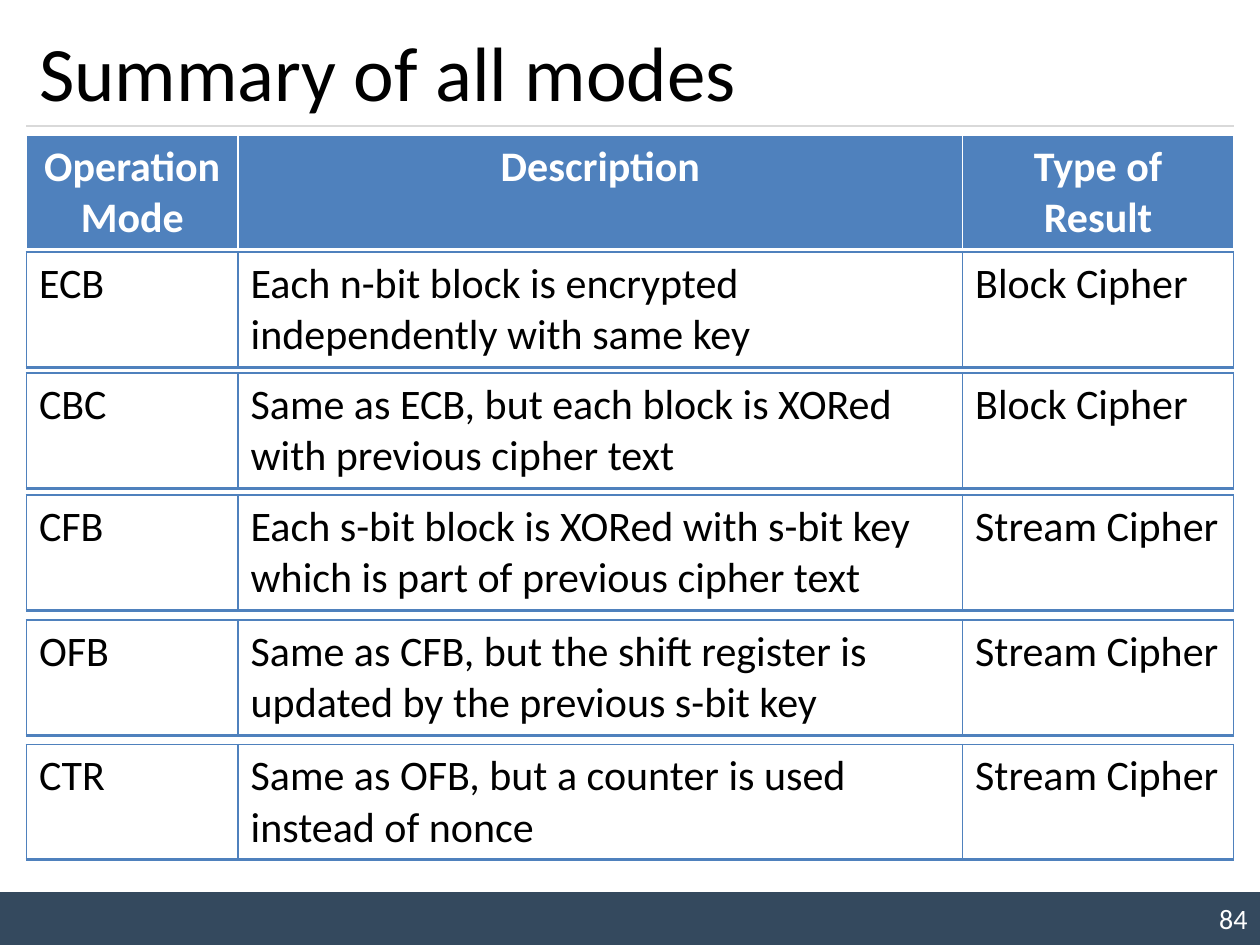
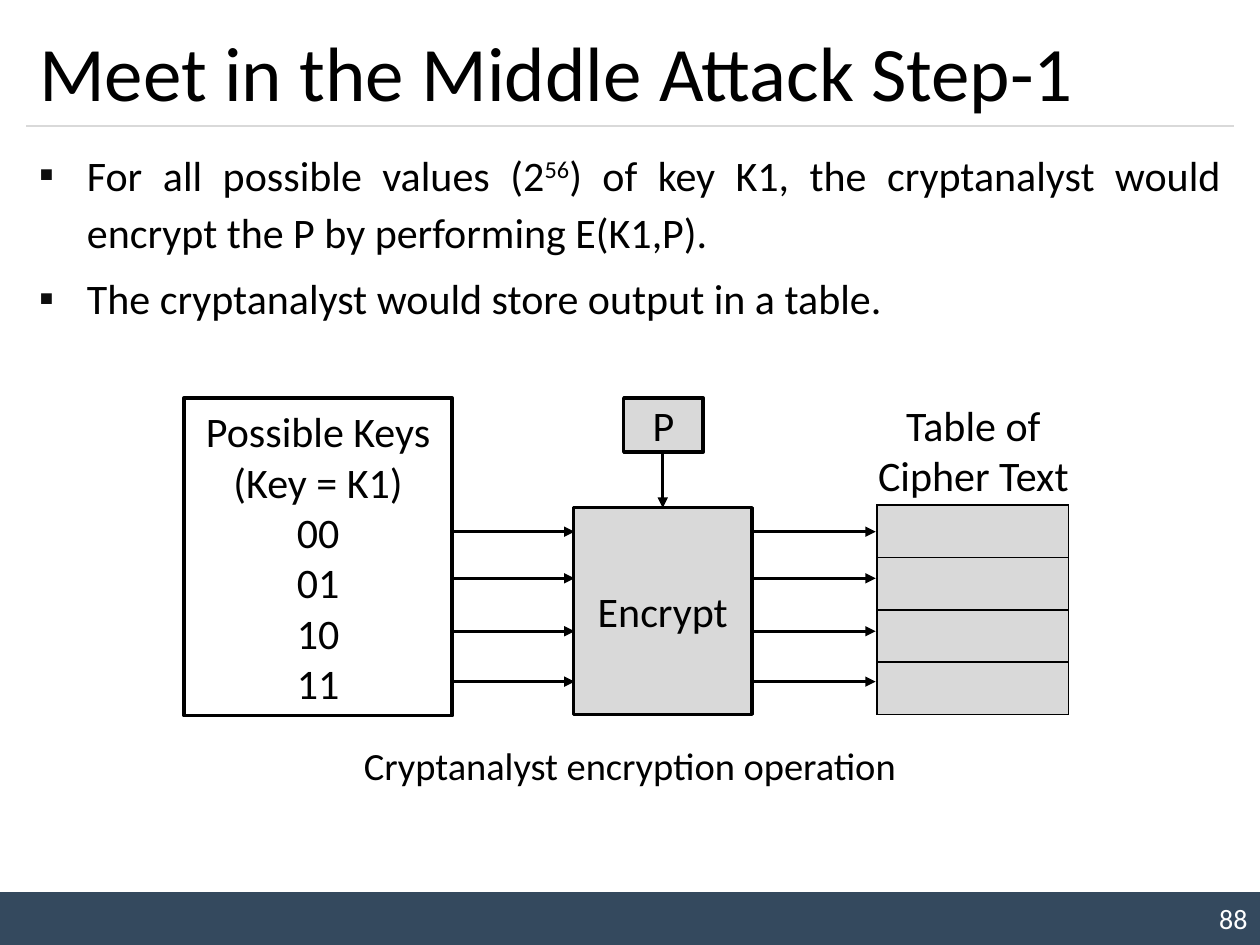
from lxml.etree import SubElement
from pptx import Presentation
from pptx.dml.color import RGBColor
from pptx.enum.shapes import MSO_CONNECTOR, MSO_SHAPE
from pptx.enum.text import MSO_ANCHOR, MSO_AUTO_SIZE, PP_ALIGN
from pptx.oxml import parse_xml
from pptx.oxml.ns import nsdecls, qn
from pptx.util import Inches, Pt

FONT = "Calibri"
BLACK = RGBColor(0x00, 0x00, 0x00)
WHITE = RGBColor(0xFF, 0xFF, 0xFF)
NAVY = RGBColor(0x34, 0x49, 0x5E)
BLUE = RGBColor(0x4F, 0x81, 0xBD)
GREY = RGBColor(0xD9, 0xD9, 0xD9)
BULLET = RGBColor(0x0D, 0x0D, 0x0D)
LEFT, WIDTH = 0.21, 9.58


def write_text(frame, lines, size=24, color=BLACK, align=PP_ALIGN.LEFT, bold=False):
    """Write one paragraph per line; a line is a list of (text, is_superscript) runs."""
    frame.word_wrap = True
    for index, line in enumerate(lines):
        para = frame.paragraphs[0] if index == 0 else frame.add_paragraph()
        para.alignment = align
        for text, is_superscript in line:
            span = para.add_run()
            span.text = text
            span.font.name = FONT
            span.font.size = Pt(size)
            span.font.bold = bold
            span.font.color.rgb = color
            if is_superscript:
                span._r.get_or_add_rPr().set("baseline", "30000")


def style_cell(cell, fill, border, bottom_width=1):
    """Fill a cell (None for no fill) and draw its four borders, 1 pt unless at the bottom."""
    if fill is None:
        cell.fill.background()
    else:
        cell.fill.solid()
        cell.fill.fore_color.rgb = fill
    properties = cell._tc.get_or_add_tcPr()
    for index, side in enumerate("LRTB"):
        width = Pt(bottom_width if side == "B" else 1)
        properties.insert(index, parse_xml(
            f'<a:ln{side} {nsdecls("a")} w="{width}"><a:solidFill>'
            f'<a:srgbClr val="{border}"/></a:solidFill></a:ln{side}>'))


deck = Presentation()
deck.slide_width, deck.slide_height = Inches(10), Inches(7.5)

# Shared title, rule and footer band
pages = []
for layout, title, number in [
    (5, "Summary of all modes", "84"),
    (1, "Meet in the Middle Attack Step-1", "88"),
]:
    page = deck.slides.add_slide(deck.slide_layouts[layout])
    pages.append(page)

    band = page.shapes.add_shape(
        MSO_SHAPE.RECTANGLE, 0, Inches(7.08), Inches(10), Inches(0.42))
    band.shadow.inherit = False
    band.fill.solid()
    band.fill.fore_color.rgb = NAVY
    band.line.fill.background()
    band.text_frame.vertical_anchor = MSO_ANCHOR.MIDDLE
    write_text(band.text_frame, [[(number, False)]], 16, WHITE, PP_ALIGN.RIGHT)

    rule = page.shapes.add_connector(
        MSO_CONNECTOR.STRAIGHT, Inches(LEFT), Inches(1), Inches(LEFT + WIDTH), Inches(1))
    rule.line.color.rgb = GREY
    rule.line.width = Pt(0.75)
    SubElement(rule._element.spPr, qn("a:effectLst"))

    heading = page.shapes.title
    heading.left, heading.top = Inches(LEFT), Inches(0.12)
    heading.width, heading.height = Inches(WIDTH), Inches(0.88)
    heading.text_frame.auto_size = MSO_AUTO_SIZE.NONE
    heading.text_frame.vertical_anchor = MSO_ANCHOR.MIDDLE
    write_text(heading.text_frame, [[(title, False)]], 44)

summary, attack = pages

# Summary: one single-row table for the header and for each mode
MODES = [
    (1.07, ["Operation\nMode", "Description", "Type of Result"]),
    (2.00, ["ECB", "Each n-bit block is encrypted independently with same key",
            "Block Cipher"]),
    (2.96, ["CBC", "Same as ECB, but each block is XORed with previous cipher text",
            "Block Cipher"]),
    (3.93, ["CFB", "Each s-bit block is XORed with s-bit key which is part of "
            "previous cipher text", "Stream Cipher"]),
    (4.92, ["OFB", "Same as CFB, but the shift register is updated by the "
            "previous s-bit key", "Stream Cipher"]),
    (5.91, ["CTR", "Same as OFB, but a counter is used instead of nonce",
            "Stream Cipher"]),
]
for index, (top, texts) in enumerate(MODES):
    is_header = index == 0
    table = summary.shapes.add_table(
        1, 3, Inches(LEFT), Inches(top), Inches(WIDTH), Inches(0.9)).table
    table.first_row = table.horz_banding = False
    for column, width in zip(table.columns, [1.68, 5.75, 2.15]):
        column.width = Inches(width)
    for cell, text in zip(table.rows[0].cells, texts):
        lines = [[(line, False)] for line in text.split("\n")]
        if is_header:
            write_text(cell.text_frame, lines, 24, WHITE, PP_ALIGN.CENTER, True)
            style_cell(cell, BLUE, WHITE, 3)
        else:
            write_text(cell.text_frame, lines)
            style_cell(cell, None, BLUE, 2)

# Attack: bullet list
body = attack.placeholders[1]
body.left, body.top = Inches(LEFT), Inches(1.08)
body.width, body.height = Inches(WIDTH), Inches(1.64)
body.text_frame.auto_size = MSO_AUTO_SIZE.NONE
write_text(body.text_frame, [
    [("For all possible values (2", False), ("56", True),
     (") of key K1, the cryptanalyst would encrypt the P by performing E(K1,P).", False)],
    [("The cryptanalyst would store output in a table.", False)],
], align=PP_ALIGN.JUSTIFY)
for para in body.text_frame.paragraphs:
    para.line_spacing = 1.14
    para.space_before = Pt(4.8)
    properties = para._p.get_or_add_pPr()
    properties.set("marL", str(Inches(0.38)))
    properties.set("indent", str(-Inches(0.38)))
    bullet_color = SubElement(properties, qn("a:buClr"))
    SubElement(bullet_color, qn("a:srgbClr"), val=str(BULLET))
    SubElement(properties, qn("a:buFont"), typeface=FONT)
    SubElement(properties, qn("a:buChar"), char="▪")

# Attack: table of cipher text
cipher_table = attack.shapes.add_table(
    4, 1, Inches(6.96), Inches(4.01), Inches(1.52), Inches(1.66)).table
cipher_table.first_row = cipher_table.horz_banding = False
for cell in cipher_table.iter_cells():
    style_cell(cell, GREY, BLACK)

# Attack: boxes of the diagram
for left, top, width, height, fill, lines in [
    (4.55, 4.03, 1.42, 1.64, GREY, ["Encrypt"]),
    (4.95, 3.16, 0.63, 0.43, GREY, ["P"]),
    (1.46, 3.16, 2.13, 2.52, WHITE,
     ["Possible Keys", "(Key = K1)", "00", "01", "10", "11"]),
]:
    box = attack.shapes.add_shape(
        MSO_SHAPE.RECTANGLE, Inches(left), Inches(top), Inches(width), Inches(height))
    box.shadow.inherit = False
    box.fill.solid()
    box.fill.fore_color.rgb = fill
    box.line.color.rgb = BLACK
    box.line.width = Pt(2)
    box.text_frame.vertical_anchor = MSO_ANCHOR.MIDDLE
    write_text(box.text_frame, [[(line, False)] for line in lines], align=PP_ALIGN.CENTER)

# Attack: each key goes into the cipher and gives one table row
arrows = [(5.26, 3.59, 5.26, 4.03)]
for y in (4.22, 4.59, 5.01, 5.41):
    arrows += [(3.59, y, 4.56, y), (5.97, y, 6.95, y)]
for x1, y1, x2, y2 in arrows:
    arrow = attack.shapes.add_connector(
        MSO_CONNECTOR.STRAIGHT, Inches(x1), Inches(y1), Inches(x2), Inches(y2))
    arrow.line.color.rgb = BLACK
    arrow.line.width = Pt(1.5)
    SubElement(arrow.line._get_or_add_ln(), qn("a:tailEnd"), type="triangle")
    SubElement(arrow._element.spPr, qn("a:effectLst"))

# Attack: captions
for left, top, width, height, size, text in [
    (6.80, 3.12, 1.85, 0.91, 24, "Table of Cipher Text"),
    (2.78, 5.84, 4.44, 0.47, 22, "Cryptanalyst encryption operation"),
]:
    caption = attack.shapes.add_textbox(
        Inches(left), Inches(top), Inches(width), Inches(height))
    write_text(caption.text_frame, [[(text, False)]], size, align=PP_ALIGN.CENTER)

deck.save("out.pptx")
